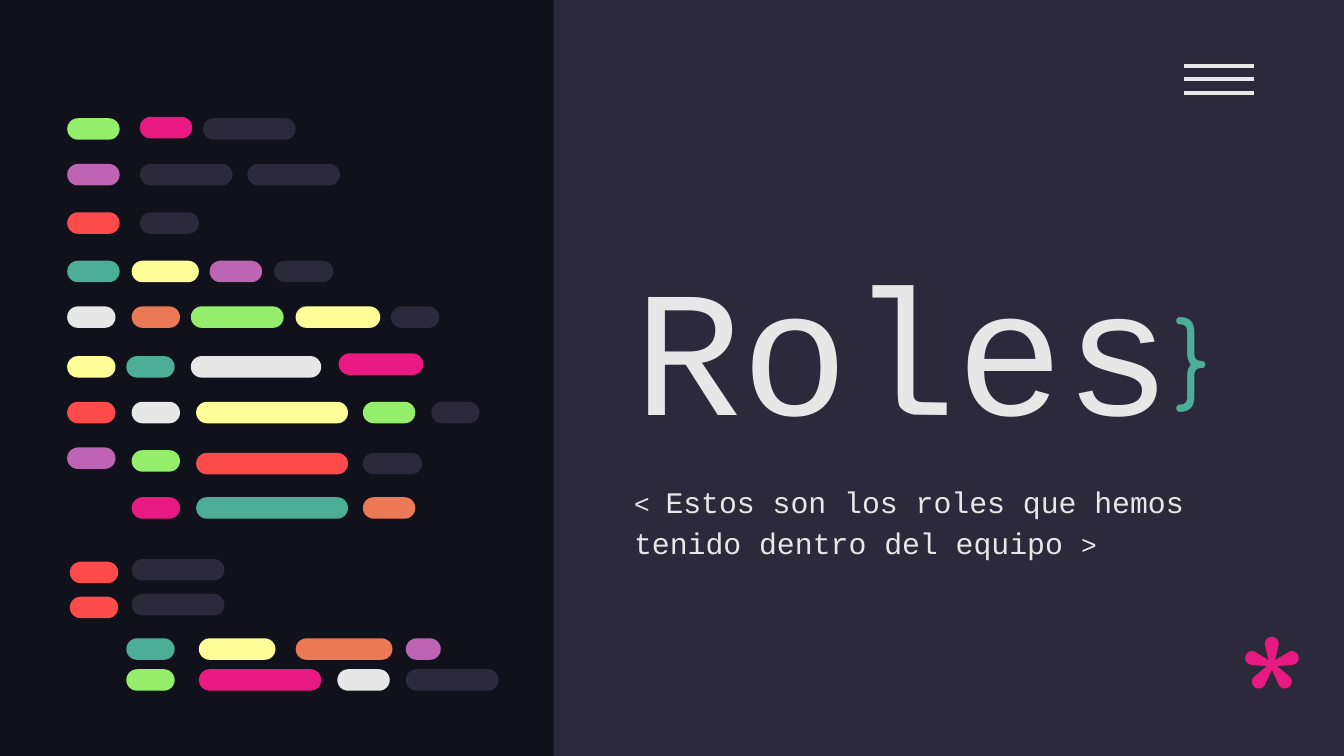
from pptx import Presentation
from pptx.dml.color import RGBColor
from pptx.enum.shapes import MSO_CONNECTOR as Connector, MSO_SHAPE as Shape
from pptx.enum.text import MSO_ANCHOR as Anchor, MSO_AUTO_SIZE as AutoSize, PP_ALIGN as Align
from pptx.oxml.ns import qn
from pptx.util import Inches, Pt
from lxml import etree

NIGHT = RGBColor(0x10, 0x11, 0x1A)
SLATE = RGBColor(0x2C, 0x29, 0x3A)
WHITE = RGBColor(0xE7, 0xE7, 0xE7)
GREEN = RGBColor(0x94, 0xEE, 0x6B)
PINK = RGBColor(0xE8, 0x1A, 0x81)
PURPLE = RGBColor(0xBD, 0x64, 0xB5)
RED = RGBColor(0xFD, 0x4A, 0x4A)
TEAL = RGBColor(0x4C, 0xAE, 0x97)
YELLOW = RGBColor(0xFF, 0xFF, 0x99)
ORANGE = RGBColor(0xEC, 0x79, 0x55)


def add_filled_shape(kind, left, top, width, height, color):
    shape = slide.shapes.add_shape(kind, Inches(left), Inches(top), Inches(width), Inches(height))
    shape.shadow.inherit = False
    shape.fill.solid()
    shape.fill.fore_color.rgb = color
    shape.line.fill.background()
    return shape


def format_text(shape, font_name, size, color):
    frame = shape.text_frame
    frame.word_wrap = True
    frame.auto_size = AutoSize.NONE
    frame.margin_left = frame.margin_right = Inches(0.1)
    frame.margin_top = frame.margin_bottom = Inches(0.1)
    for paragraph in frame.paragraphs:
        paragraph.alignment = Align.LEFT
        for run in paragraph.runs:
            run.font.name = font_name
            run.font.size = Pt(size)
            run.font.color.rgb = color


presentation = Presentation()
presentation.slide_width = Inches(10)
presentation.slide_height = Inches(10) * 9 // 16
slide = presentation.slides.add_slide(presentation.slide_layouts[5])
slide.background.fill.solid()
slide.background.fill.fore_color.rgb = NIGHT

title = slide.shapes.title
panel = add_filled_shape(Shape.RECTANGLE, 4.12, 0, 5.88, 5.62, SLATE)
panel.height = presentation.slide_height
title._element.addprevious(panel._element)

for index in range(3):
    y = Inches(0.49 + 0.1 * index)
    menu_line = slide.shapes.add_connector(Connector.STRAIGHT, Inches(8.81), y, Inches(9.33), y)
    menu_line.line.color.rgb = WHITE
    menu_line.line.width = Pt(2.25)
    etree.SubElement(menu_line._element.spPr, qn("a:effectLst"))

title.left, title.top = Inches(4.62), Inches(1.31)
title.width, title.height = Inches(4.6), Inches(2.15)
title.text_frame.text = "Roles"
title.text_frame.vertical_anchor = Anchor.BOTTOM
format_text(title, "Courier New", 96, WHITE)

subtitle = slide.shapes.add_textbox(Inches(4.62), Inches(3.46), Inches(4.6), Inches(1.17))
subtitle.fill.solid()
subtitle.fill.fore_color.rgb = SLATE
paragraph = subtitle.text_frame.paragraphs[0]
paragraph.line_spacing = 1.15
for text in ("< ", "Estos son los roles que hemos tenido dentro del equipo ", ">"):
    paragraph.add_run().text = text
format_text(subtitle, "Courier New", 14, WHITE)
paragraph.runs[1].font.size = Pt(16)

symbols = [
    ("*", 9.11, 4.35, 0.87, 96, PINK),
    ("}", 8.65, 2.11, 0.95, 50, TEAL),
]
for text, left, top, height, size, color in symbols:
    symbol = slide.shapes.add_textbox(Inches(left), Inches(top), Inches(0.57), Inches(height))
    symbol.text_frame.text = text
    format_text(symbol, "Comfortaa", size, color)

code_rows = [
    (0.88, [(0.5, 0.39, GREEN), (1.51, 0.69, SLATE)]),
    (0.87, [(1.04, 0.39, PINK)]),
    (1.22, [(0.5, 0.39, PURPLE), (1.04, 0.69, SLATE), (1.84, 0.69, SLATE)]),
    (1.58, [(0.5, 0.39, RED), (1.04, 0.44, SLATE)]),
    (1.94, [(0.5, 0.39, TEAL), (0.98, 0.5, YELLOW), (1.56, 0.39, PURPLE), (2.04, 0.44, SLATE)]),
    (2.28, [(0.5, 0.36, WHITE), (0.98, 0.36, ORANGE), (1.42, 0.69, GREEN),
            (2.2, 0.63, YELLOW), (2.91, 0.36, SLATE)]),
    (2.65, [(0.5, 0.36, YELLOW), (0.94, 0.36, TEAL), (1.42, 0.97, WHITE)]),
    (2.63, [(2.52, 0.63, PINK)]),
    (2.99, [(0.5, 0.36, RED), (0.98, 0.36, WHITE), (1.46, 1.13, YELLOW),
            (2.7, 0.39, GREEN), (3.21, 0.36, SLATE)]),
    (3.33, [(0.5, 0.36, PURPLE)]),
    (3.35, [(0.98, 0.36, GREEN)]),
    (3.37, [(1.46, 1.13, RED), (2.7, 0.44, SLATE)]),
    (3.7, [(0.98, 0.36, PINK), (1.46, 1.13, TEAL), (2.7, 0.39, ORANGE)]),
    (4.16, [(0.98, 0.69, SLATE)]),
    (4.18, [(0.52, 0.36, RED)]),
    (4.42, [(0.98, 0.69, SLATE)]),
    (4.44, [(0.52, 0.36, RED)]),
    (4.75, [(0.94, 0.36, TEAL), (1.48, 0.57, YELLOW), (2.2, 0.72, ORANGE), (3.02, 0.26, PURPLE)]),
    (4.98, [(0.94, 0.36, GREEN), (1.48, 0.91, PINK), (2.51, 0.39, WHITE), (3.02, 0.69, SLATE)]),
]
for top, pills in code_rows:
    for left, width, color in pills:
        pill = add_filled_shape(Shape.ROUNDED_RECTANGLE, left, top, width, 0.16, color)
        pill.adjustments[0] = 0.5

presentation.save("out.pptx")
